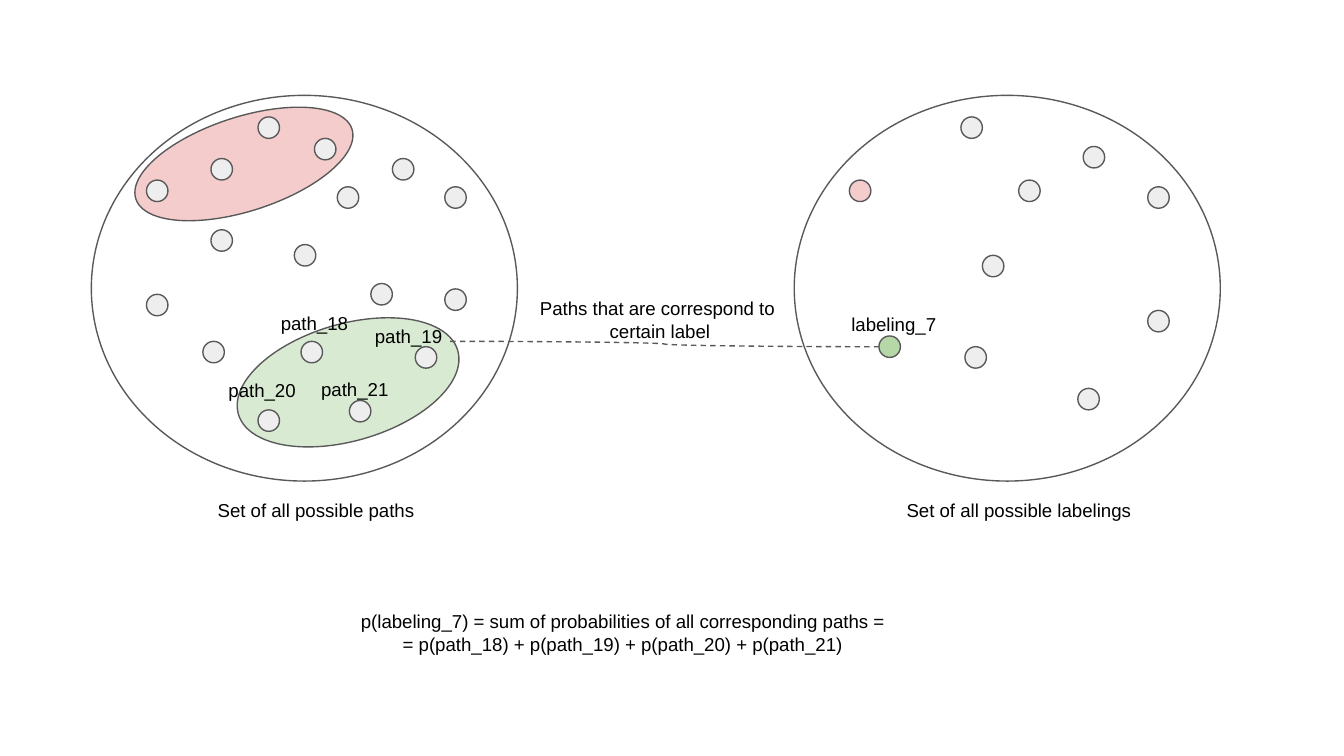
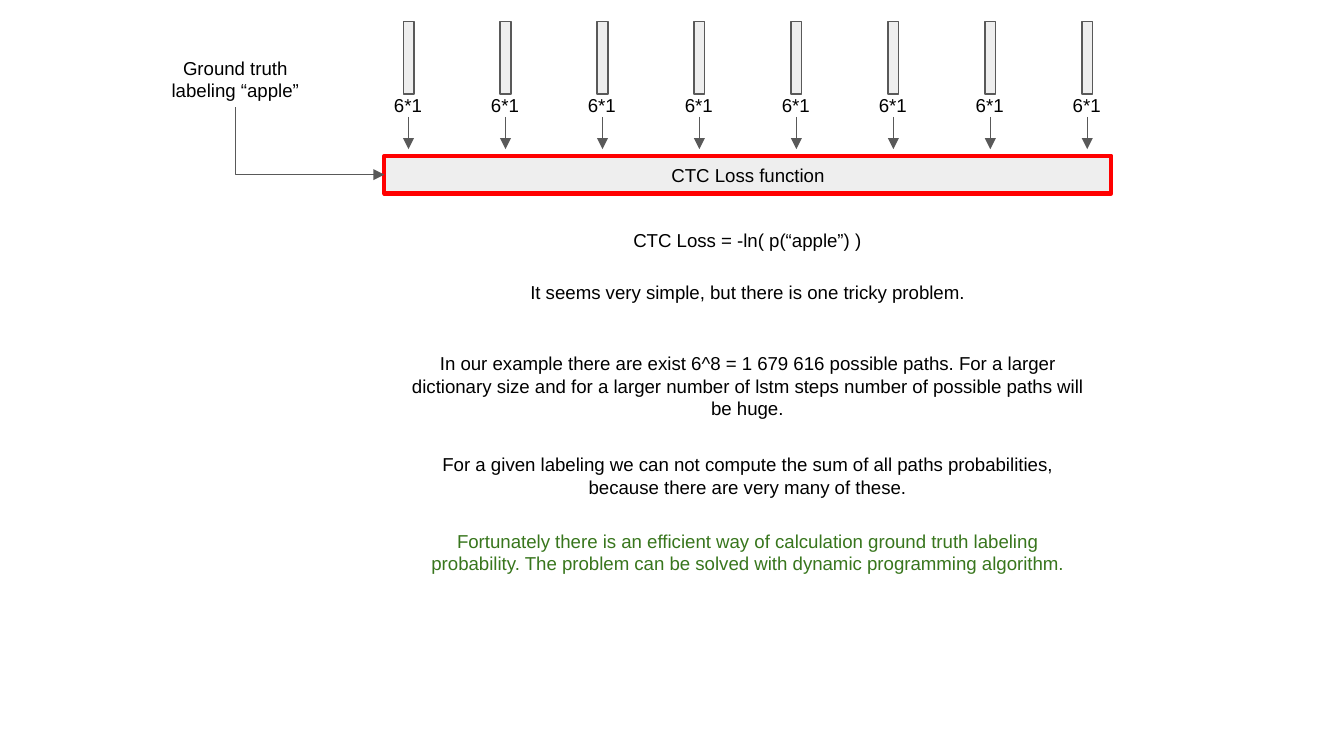
from dataclasses import dataclass

from lxml.etree import SubElement
from pptx import Presentation
from pptx.dml.color import RGBColor
from pptx.enum.dml import MSO_LINE
from pptx.enum.shapes import MSO_CONNECTOR, MSO_SHAPE
from pptx.enum.text import MSO_ANCHOR, MSO_AUTO_SIZE, PP_ALIGN
from pptx.oxml.ns import qn
from pptx.util import Inches, Pt


@dataclass(frozen=True)
class Theme:
    font: str = "Arial"
    size: float = 10
    thin: float = 0.75
    thick: float = 2.25
    text: str = "000000"
    outline: str = "595959"
    white: str = "FFFFFF"
    gray: str = "EEEEEE"
    pink: str = "F4CCCC"
    pale_green: str = "D9EAD3"
    green: str = "B6D7A8"
    dark_green: str = "38761D"
    red: str = "FF0000"


theme = Theme()


def place(slide, text, *, at, shape=None, fill=None, line=theme.outline,
          weight=theme.thin, rotation=0, color=theme.text):
    """Put text in a plain box, or in an outlined shape when one is given."""
    box = [Inches(length) for length in at]
    if shape is None:
        item = slide.shapes.add_textbox(*box)
    else:
        item = slide.shapes.add_shape(shape, *box)
        item.shadow.inherit = False
        item.rotation = rotation
        item.line.color.rgb = RGBColor.from_string(line)
        item.line.width = Pt(weight)
        if fill:
            item.fill.solid()
            item.fill.fore_color.rgb = RGBColor.from_string(fill)
        else:
            item.fill.background()
    if text:
        frame = item.text_frame
        frame.word_wrap = True
        frame.auto_size = MSO_AUTO_SIZE.NONE
        frame.vertical_anchor = MSO_ANCHOR.MIDDLE if shape else MSO_ANCHOR.TOP
        frame.margin_left = frame.margin_right = Inches(0.1)
        frame.margin_top = frame.margin_bottom = Inches(0.1)
        frame.text = text
        for paragraph in frame.paragraphs:
            paragraph.alignment = PP_ALIGN.CENTER
            for run in paragraph.runs:
                run.font.name = theme.font
                run.font.size = Pt(theme.size)
                run.font.color.rgb = RGBColor.from_string(color)


def connect(slide, kind, *, start, end, dash=None, arrow=False, bend=None):
    """Draw a thin connector; bend is where it turns, as a share of its width."""
    link = slide.shapes.add_connector(
        kind, *[Inches(length) for length in (*start, *end)])
    link.line.color.rgb = RGBColor.from_string(theme.outline)
    link.line.width = Pt(theme.thin)
    if dash:
        link.line.dash_style = dash
    properties = link._element.spPr
    if arrow:
        SubElement(properties.find(qn("a:ln")), qn("a:tailEnd"), type="triangle")
    if bend is not None:
        guides = properties.find(qn("a:prstGeom")).find(qn("a:avLst"))
        SubElement(guides, qn("a:gd"), name="adj1", fmla=f"val {int(bend * 100000)}")
    SubElement(properties, qn("a:effectLst"))


# Widescreen page, 16:9
deck = Presentation()
deck.slide_width = Inches(10)
deck.slide_height = deck.slide_width * 9 // 16
blank = deck.slide_layouts[6]

# Slide 1: paths and the labelings they map to
mapping = deck.slides.add_slide(blank)
DOT = 0.16
SET_TOP, SET_WIDTH, SET_HEIGHT = 0.71, 3.17, 2.87

path_groups = [
    ((1.74, 2.41, 1.7, 0.87), 343.8, theme.pale_green),
    ((0.97, 0.87, 1.69, 0.7), 342.1, theme.pink),
]
for at, rotation, fill in path_groups:
    place(mapping, "", at=at, shape=MSO_SHAPE.OVAL, fill=fill, rotation=rotation)

path_dots = [
    (1.57, 1.18), (2.34, 1.03), (2.92, 1.18), (1.92, 0.87), (1.09, 1.34),
    (1.57, 1.71), (2.19, 1.82), (1.09, 2.19), (1.51, 2.54), (1.92, 3.05),
    (2.24, 2.54), (2.6, 2.98), (3.09, 2.58), (3.31, 2.15), (2.76, 2.11),
    (3.31, 1.39), (2.51, 1.39),
]
labeling_dots = [
    (7.31, 1.9), (8.06, 1.09), (7.15, 0.87), (6.32, 1.34), (6.54, 2.5),
    (7.18, 2.58), (8.02, 2.89), (8.54, 2.31), (8.54, 1.39), (7.58, 1.34),
]
matched_labelings = {(6.32, 1.34): theme.pink, (6.54, 2.5): theme.green}
sets = [
    ("Set of all possible paths", 0.68, None, path_dots),
    ("Set of all possible labelings", 5.91, theme.white, labeling_dots),
]
for caption, left, fill, dots in sets:
    place(mapping, "", at=(left, SET_TOP, SET_WIDTH, SET_HEIGHT),
          shape=MSO_SHAPE.OVAL, fill=fill)
    place(mapping, caption, at=(left + 0.17, 3.61, 3, 0.34))
    for dot in dots:
        place(mapping, "", at=(*dot, DOT, DOT), shape=MSO_SHAPE.OVAL,
              fill=matched_labelings.get(dot, theme.gray))

# Link from the green group to its labeling
connect(mapping, MSO_CONNECTOR.CURVE, start=(3.35, 2.54), end=(6.54, 2.58),
        dash=MSO_LINE.DASH, bend=0.5)
place(mapping, "Paths that are correspond to \ncertain label", at=(3.41, 2.11, 3, 0.34))

# Names of the dots
dot_names = [
    ("labeling_7", 6.22, 2.23),
    ("path_18", 1.91, 2.22),
    ("path_19", 2.61, 2.32),
    ("path_20", 1.52, 2.72),
    ("path_21", 2.21, 2.71),
]
for name, left, top in dot_names:
    place(mapping, name, at=(left, top, 0.86, 0.34))

# Probability formula
place(mapping,
      "p(labeling_7) = sum of probabilities of all corresponding paths = \n"
      "= p(path_18) + p(path_19) + p(path_20) + p(path_21) ",
      at=(1.25, 4.44, 6.8, 0.59))

# Slide 2: CTC loss
loss = deck.slides.add_slide(blank)
STEPS = 8
STEP_PITCH = 5.05 / (STEPS - 1)

# Step outputs feeding the loss function
for step in range(STEPS):
    left = 3 + step * STEP_PITCH
    place(loss, "", at=(left, 0.16, 0.08, 0.54), shape=MSO_SHAPE.RECTANGLE,
          fill=theme.gray)
    place(loss, "6*1", at=(left - 0.26, 0.6, 0.59, 0.22))
    connect(loss, MSO_CONNECTOR.STRAIGHT, start=(left + 0.04, 0.87),
            end=(left + 0.04, 1.11), arrow=True)

place(loss, "CTC Loss function", at=(2.86, 1.16, 5.41, 0.28),
      shape=MSO_SHAPE.RECTANGLE, fill=theme.gray, line=theme.red,
      weight=theme.thick)

# Ground truth input
connect(loss, MSO_CONNECTOR.ELBOW, start=(1.75, 0.8), end=(2.86, 1.3),
        arrow=True, bend=0)
place(loss, "Ground truth labeling “apple”", at=(1.11, 0.32, 1.28, 0.36))

# Explanation, centred under the loss function
CENTER = 5.56
explanation = [
    ("CTC Loss = -ln( p(“apple”) )", 1.6, 3.06, 0.36, theme.text),
    ("It seems very simple, but there is one tricky problem.",
     1.99, 5.22, 0.36, theme.text),
    ("In our example there are exist 6^8 = 1 679 616 possible paths. For a larger "
     "dictionary size and for a larger number of lstm steps number of possible "
     "paths will be huge.", 2.52, 5.22, 0.8, theme.text),
    ("For a given labeling we can not compute the sum of all paths probabilities, "
     "because there are very many of these.", 3.27, 5.04, 0.62, theme.text),
    ("Fortunately there is an efficient way of calculation ground truth labeling "
     "probability. The problem can be solved with dynamic programming algorithm.",
     3.84, 5.04, 0.62, theme.dark_green),
]
for sentence, top, width, height, color in explanation:
    place(loss, sentence, at=(CENTER - width / 2, top, width, height), color=color)

deck.save("out.pptx")
